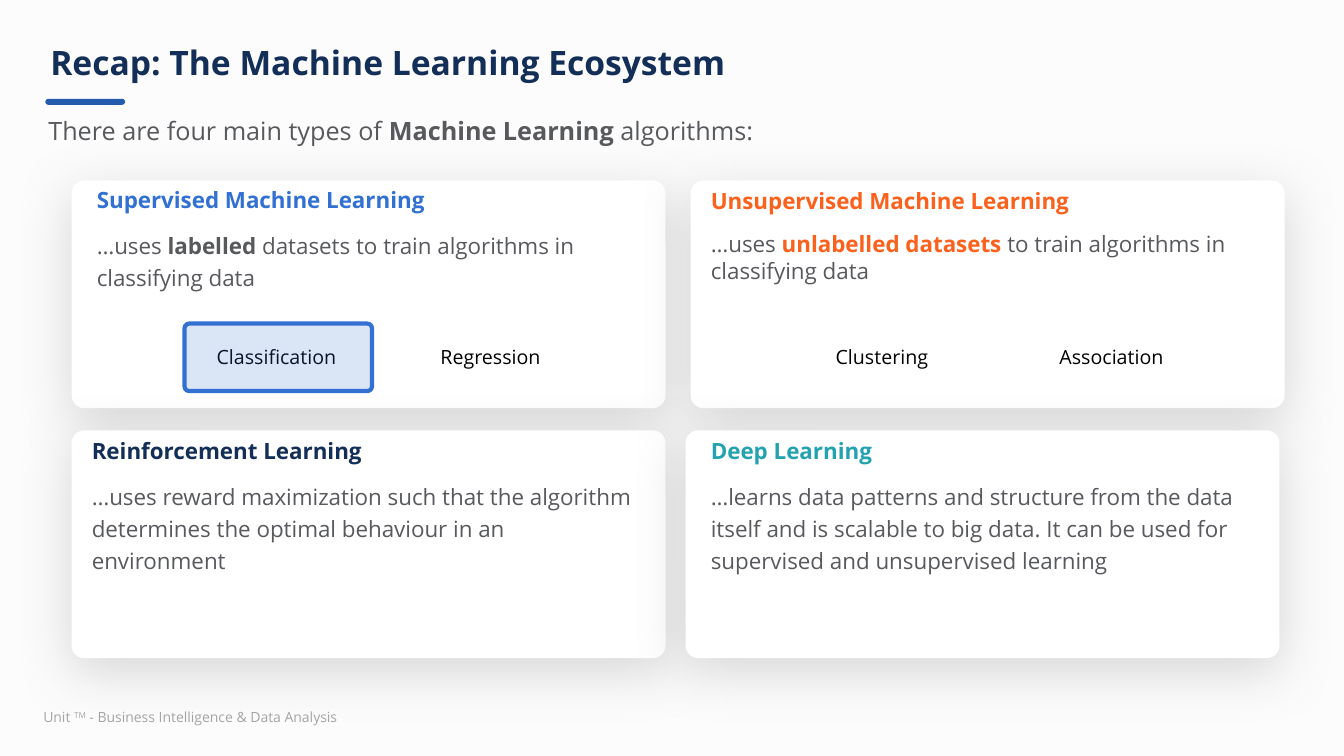
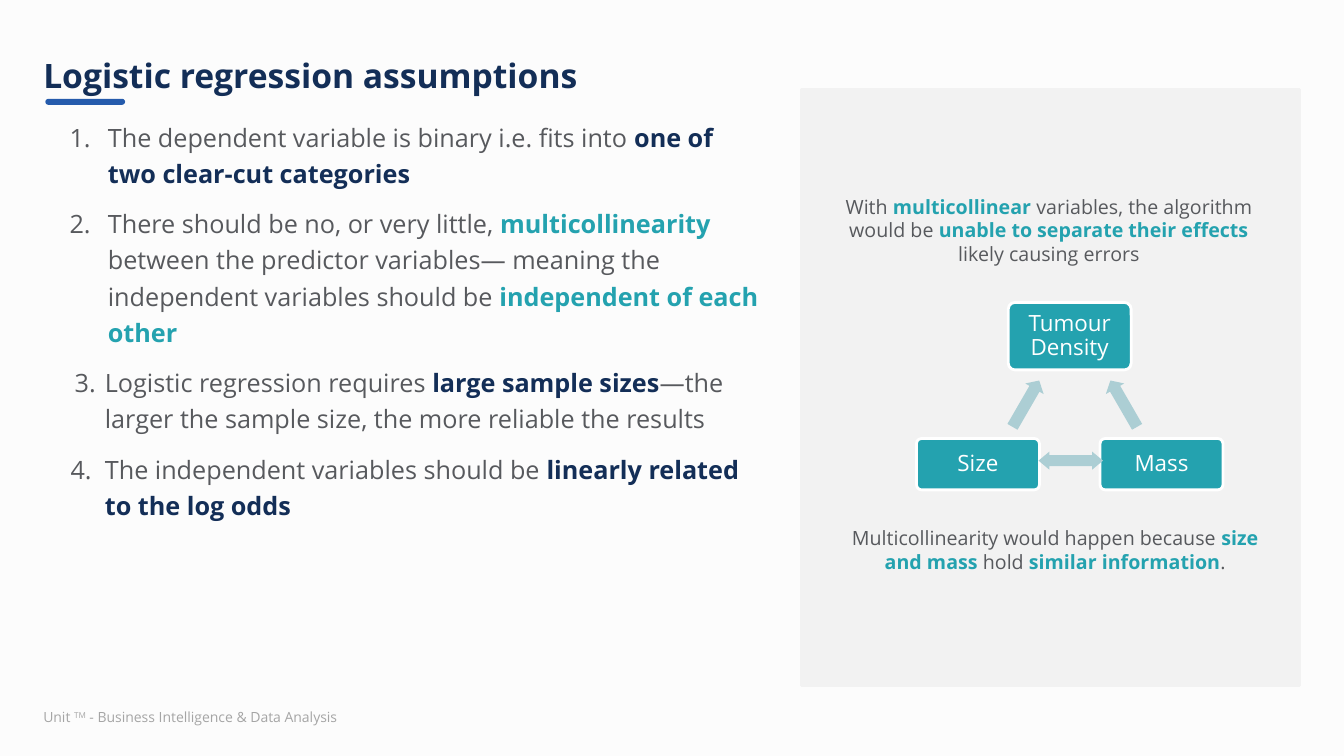
"""Build two machine learning slides: the ecosystem recap and the logistic regression assumptions."""
from lxml import etree
from pptx import Presentation
from pptx import util as u
from pptx.dml.color import RGBColor
from pptx.enum import shapes, text
from pptx.oxml.ns import qn

NAVY = RGBColor(0x13, 0x2E, 0x57)
RULE_BLUE = RGBColor(0x25, 0x5B, 0xAC)
BLUE = RGBColor(0x32, 0x71, 0xD2)
ORANGE = RGBColor(0xFA, 0x61, 0x1C)
TEAL = RGBColor(0x24, 0xA2, 0xAF)
PALE_TEAL = RGBColor(0xAC, 0xCE, 0xD4)
GREY = RGBColor(0x57, 0x59, 0x5D)
FOOTER_GREY = RGBColor(0xA5, 0xA5, 0xA5)
PANEL = RGBColor(0xF2, 0xF2, 0xF2)
PAPER = RGBColor(0xFC, 0xFC, 0xFC)
WHITE = RGBColor(0xFF, 0xFF, 0xFF)
BLACK = RGBColor(0x00, 0x00, 0x00)
FONT = "Open Sans"
KIND = shapes.MSO_SHAPE
CENTER = text.PP_ALIGN.CENTER
MIDDLE = text.MSO_ANCHOR.MIDDLE

prs = Presentation()
prs.slide_width, prs.slide_height = u.Inches(13.33), u.Inches(7.5)
COLUMN, ROW = prs.slide_width / 100, prs.slide_height / 100
prs.slide_master.background.fill.solid()
prs.slide_master.background.fill.fore_color.rgb = PAPER


def add_box(slide, area, kind=None, fill=None, line=None, width=2, adjust=()):
    """Add a preset shape, or a text box without a kind, at (column, row, columns, rows)."""
    left, top, wide, high = area
    place = [int(n) for n in (left * COLUMN, top * ROW, wide * COLUMN, high * ROW)]
    if kind is None:
        return slide.shapes.add_textbox(*place)
    shape = slide.shapes.add_shape(kind, *place)
    shape.shadow.inherit = False
    shape.fill.solid()
    shape.fill.fore_color.rgb = fill
    if line is None:
        shape.line.fill.background()
    else:
        shape.line.color.rgb = line
        shape.line.width = u.Pt(width)
    for index, value in enumerate(adjust):
        shape.adjustments[index] = value
    return shape


def write(shape, paragraphs, size, margins=(0.1, 0.05), anchor=text.MSO_ANCHOR.TOP):
    """Fill a shape with (runs, format) paragraphs, a run being (words, colour, bold)."""
    frame = shape.text_frame
    across, down = (u.Inches(m) for m in margins)
    settings = {"word_wrap": True, "vertical_anchor": anchor, "margin_left": across,
                "margin_right": across, "margin_top": down, "margin_bottom": down}
    for name, value in settings.items():
        setattr(frame, name, value)
    for index, (runs, layout) in enumerate(paragraphs):
        paragraph = frame.add_paragraph() if index else frame.paragraphs[0]
        for name, value in layout.items():
            setattr(paragraph, name, value)
        for words, colour, bold in runs:
            run = paragraph.add_run()
            run.text = words
            run.font.color.rgb = colour
            for name, value in {"name": FONT, "size": u.Pt(size), "bold": bold}.items():
                setattr(run.font, name, value)
    return frame


titles = [
    ("Recap: The Machine Learning Ecosystem", (3, 3.47, 96.25, 10.27)),
    ("Logistic regression assumptions", (2.48, 5.07, 94.9, 10.27)),
]
slides = []
for title, area in titles:
    slide = prs.slides.add_slide(prs.slide_layouts[6])
    footer = [("Unit ", FOOTER_GREY, False), ("TM", FOOTER_GREY, False),
              (" - Business Intelligence & Data Analysis", FOOTER_GREY, False)]
    frame = write(add_box(slide, (2.48, 93.07, 25.88, 3.6)), [(footer, {})], 10)
    trademark = frame.paragraphs[0].runs[1]
    trademark.font._element.set("baseline", "30000")
    add_box(slide, (3.38, 13.07, 5.93, 0.8), KIND.ROUNDED_RECTANGLE, RULE_BLUE, adjust=[0.5])
    write(add_box(slide, area), [([(title, NAVY, True)], {"line_spacing": 0.9})], 24, anchor=MIDDLE)
    slides.append(slide)
recap, assumptions = slides

intro = [("There are four main types of ", GREY, False), ("Machine Learning", GREY, True),
         (" algorithms:", GREY, False)]
write(add_box(recap, (3.6, 15.2, 92.65, 6.67)), [(intro, {})], 18, (0, 0))

LOOSE = {"line_spacing": 1.2, "space_before": u.Pt(10)}
SINGLE = {"space_before": u.Pt(12)}
CARD_WIDTH, CARD_HEIGHT = 44.19, 30.13
cards = [
    ((5.33, 23.87), (7.2, 23.87, 39.23), "Supervised Machine Learning", BLUE, LOOSE,
     [("…uses ", GREY, False), ("labelled", GREY, True),
      (" datasets to train algorithms in classifying data", GREY, False)]),
    ((51.39, 23.87), (52.89, 24, 40.96), "Unsupervised Machine Learning", ORANGE, SINGLE,
     [("…uses ", GREY, False), ("unlabelled datasets ", ORANGE, True),
      ("to train algorithms in classifying data", GREY, False)]),
    ((5.33, 56.93), (6.83, 57.07, 40.96), "Reinforcement Learning", NAVY, LOOSE,
     [("…uses reward maximization such that the algorithm determines the optimal "
       "behaviour in an environment", GREY, False)]),
    ((51.01, 56.93), (52.89, 57.07, 40.96), "Deep Learning", TEAL, LOOSE,
     [("…learns data patterns and structure from the data itself and is scalable to "
       "big data. It can be used for supervised and unsupervised learning", GREY, False)]),
]
for corner, *_ in cards:
    card = add_box(recap, (*corner, CARD_WIDTH, CARD_HEIGHT), KIND.ROUNDED_RECTANGLE, WHITE,
                   adjust=[0.056])
    effects = card.element.spPr.find(qn("a:effectLst"))
    shadow = etree.SubElement(effects, qn("a:outerShdw"), blurRad=str(u.Pt(39)),
                              dist=str(u.Pt(9)), dir="5400000", algn="t", rotWithShape="0")
    tint = etree.SubElement(shadow, qn("a:srgbClr"), val="808080")
    etree.SubElement(tint, qn("a:alpha"), val="29000")
for _, (left, top, wide), heading, colour, layout, description in cards:
    write(add_box(recap, (left, top, wide, 18)),
          [([(heading, colour, True)], {"line_spacing": 1.2}), (description, layout)], 16, (0, 0))

for first_column, methods in [(15.38, ("Classification", "Regression")),
                              (61.44, ("Clustering", "Association"))]:
    for index, method in enumerate(methods):
        write(add_box(recap, (first_column + index * 16.65, 45.33, 15.83, 4.13)),
              [([(method, BLACK, False)], {"line_spacing": 0.9})], 14)
highlight = add_box(recap, (13.73, 42.8, 13.95, 8.93), KIND.ROUNDED_RECTANGLE, BLUE, BLUE, 3, [0.069])
highlight_fill = highlight.element.spPr.find(qn("a:solidFill"))
etree.SubElement(highlight_fill[0], qn("a:alpha"), val="18000")

add_box(assumptions, (59.64, 11.87, 37.06, 78.8), KIND.RECTANGLE, PANEL, PANEL)
rules = [
    (0.62, 0.38, [("The dependent variable is binary i.e. fits into ", GREY, False),
                  ("one of two clear-cut categories", NAVY, True)]),
    (0.62, 0.38, [("There should be no, or very little, ", GREY, False),
                  ("multicollinearity", TEAL, True),
                  (" between the predictor variables— meaning the independent variables "
                   "should be ", GREY, False),
                  ("independent of each other", TEAL, True)]),
    (0.59, 0.3, [("Logistic regression requires ", GREY, False),
                 ("large sample sizes", NAVY, True),
                 ("—the larger the sample size, the more reliable the results", GREY, False)]),
    (0.59, 0.34, [("The independent variables should be ", GREY, False),
                  ("linearly related to the log odds", NAVY, True)]),
]
rule_list = write(add_box(assumptions, (3.38, 15.33, 53.34, 76.67)),
                  [(runs, LOOSE if index else {"line_spacing": 1.2})
                   for index, (_, _, runs) in enumerate(rules)], 18, (0, 0))
for paragraph, (indent, hanging, _) in zip(rule_list.paragraphs, rules):
    properties = paragraph._p.get_or_add_pPr()
    properties.set("marL", str(u.Inches(indent)))
    properties.set("indent", str(-u.Inches(hanging)))
    number_colour = etree.SubElement(properties, qn("a:buClr"))
    etree.SubElement(number_colour, qn("a:srgbClr"), val=str(GREY))
    etree.SubElement(properties, qn("a:buFont"), typeface="+mj-lt")
    etree.SubElement(properties, qn("a:buAutoNum"), type="arabicPeriod")

for variable, left, top, high in [("Tumour Density", 75.02, 40, 8.93), ("Size", 68.19, 58, 6.8),
                                  ("Mass", 81.85, 58, 6.8)]:
    node = add_box(assumptions, (left, top, 9.15, high), KIND.ROUNDED_RECTANGLE, TEAL, WHITE,
                   adjust=[0.1])
    write(node, [([(variable, WHITE, False)], {"alignment": CENTER, "line_spacing": 0.9})], 16,
          (0.09, 0.09), MIDDLE)

for kind, area, turn, adjust in [
    (KIND.RIGHT_ARROW, (74.34, 52, 3.98, 2.8), 300, (0.55, 0.45)),
    (KIND.LEFT_ARROW, (81.62, 52, 3.98, 2.8), 60, (0.55, 0.45)),
    (KIND.LEFT_RIGHT_ARROW, (77.27, 59.73, 4.8, 2.4), 0, (0.6, 0.6)),
]:
    add_box(assumptions, area, kind, PALE_TEAL, adjust=adjust).rotation = turn

effect = [("With ", GREY, False), ("multicollinear", TEAL, True),
          (" variables, the algorithm would be ", GREY, False),
          ("unable to separate their effects", TEAL, True), (" likely causing errors", GREY, False)]
cause = [("Multicollinearity would happen because ", GREY, False), ("size and mass", TEAL, True),
         (" hold ", GREY, False), ("similar information", TEAL, True), (".", GREY, False)]
for remark, area in [(effect, (61.5, 25.07, 33.1, 10.8)), (cause, (62.42, 68.93, 32.18, 7.6))]:
    write(add_box(assumptions, area), [(remark, {"alignment": CENTER})], 14)

prs.save("out.pptx")
